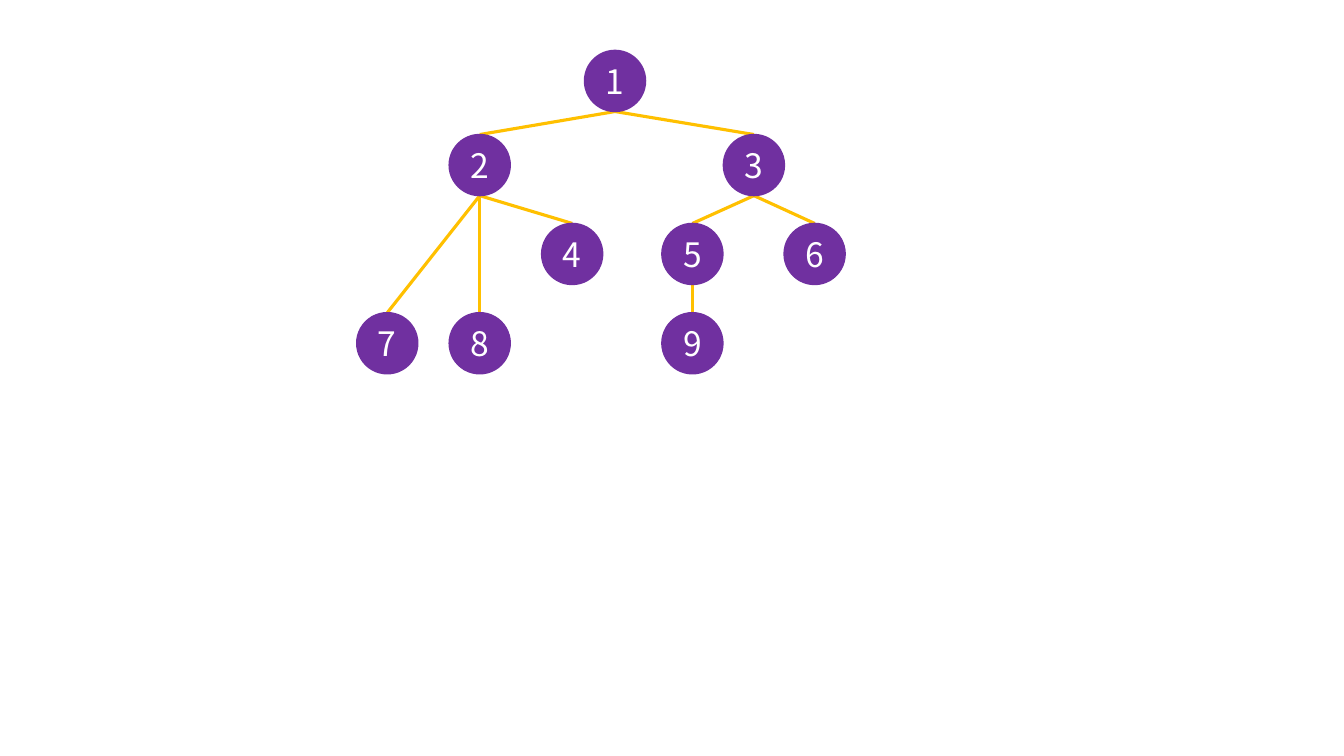
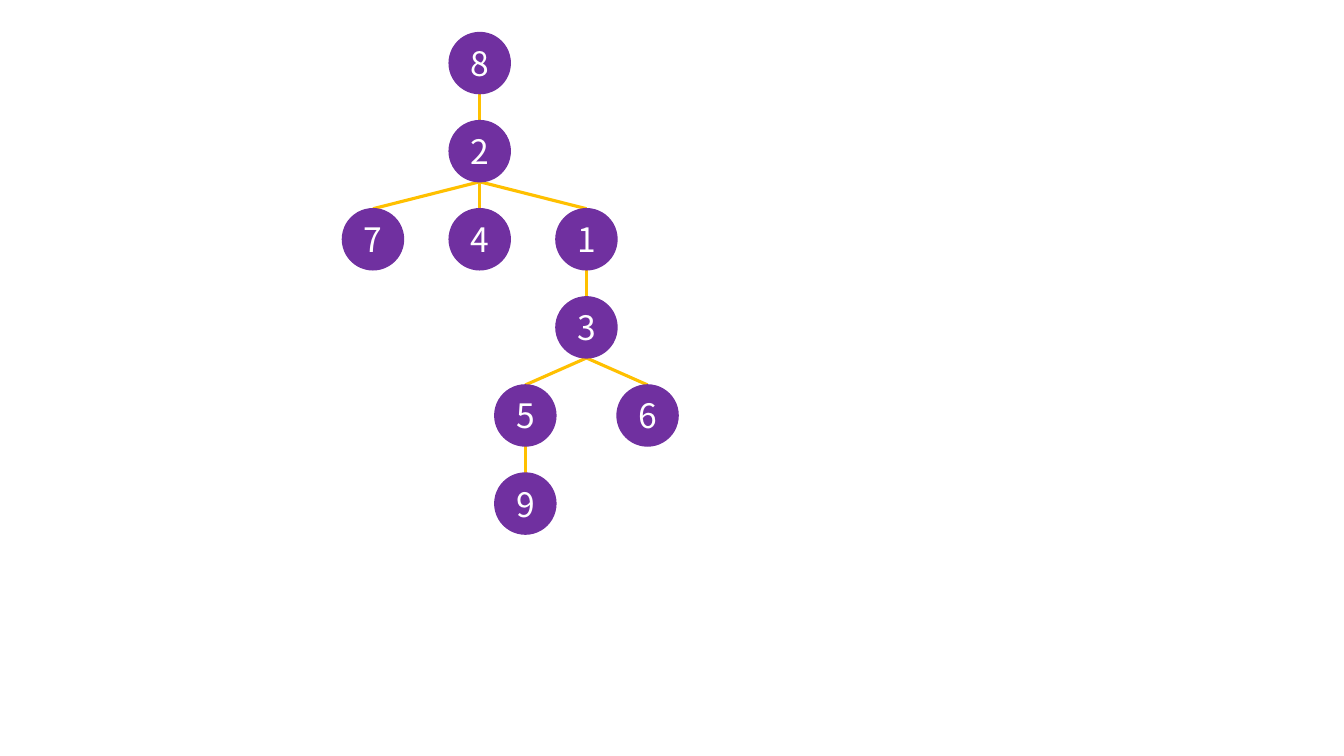
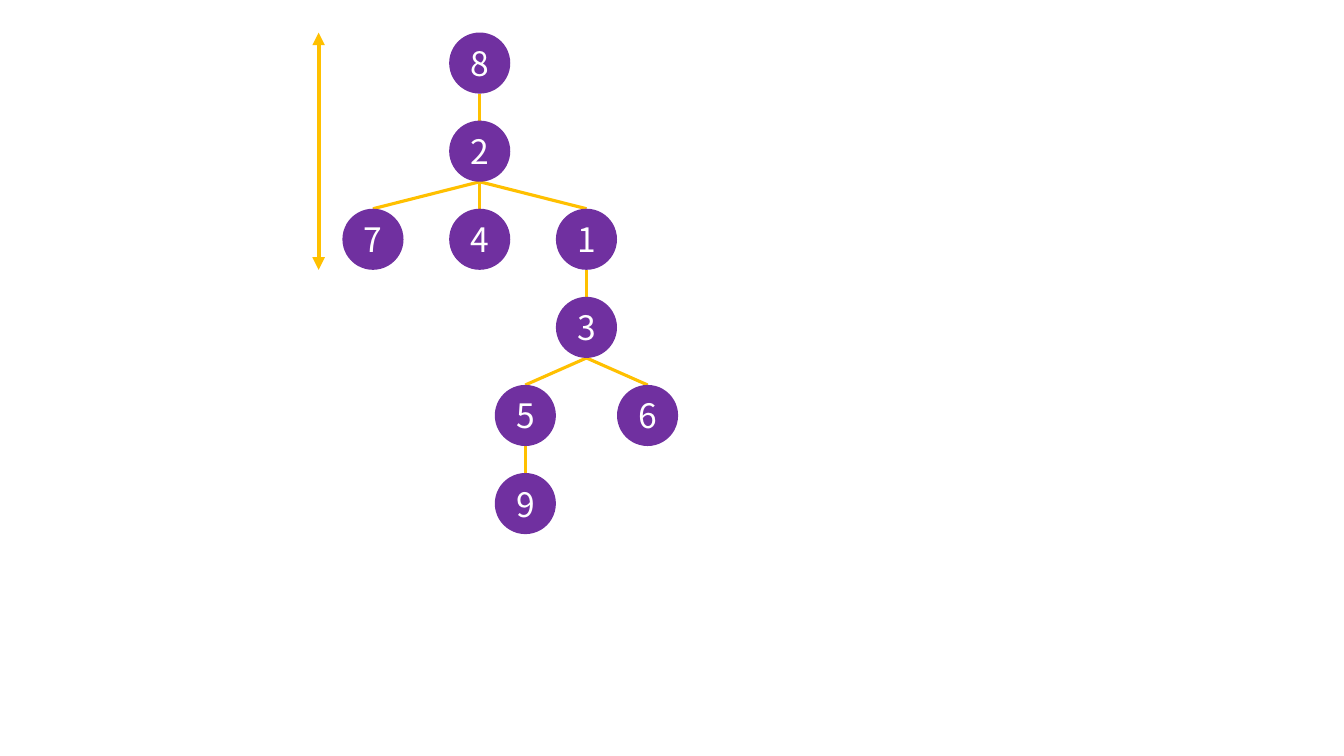
import dataclasses

import pptx
import pptx.dml.color
import pptx.enum.shapes
import pptx.enum.text
import pptx.oxml
import pptx.oxml.ns
import pptx.util

Cm = pptx.util.Cm
Pt = pptx.util.Pt


@dataclasses.dataclass(frozen=True)
class Theme:
    node: str = "7030A0"
    edge: str = "FFC000"
    text: str = "FFFFFF"
    font: str = "Noto Sans CJK KR"
    size: float = 24
    thin: float = 1
    line: float = 2.25
    bold: float = 3


THEME = Theme()
DISC = 1.54  # node diameter, cm

# Trees: row tops in cm, nodes as label: (centre x in cm, row), edges as parent, child
LEFT, RIGHT = 12.09, 17.45
FIRST = {
    "tops": [1.27, 3.39, 5.63, 7.88],
    "nodes": {
        "1": (15.5, 0),
        "2": (LEFT, 1), "3": (19, 1),
        "4": (14.42, 2), "5": (RIGHT, 2), "6": (20.53, 2),
        "7": (9.76, 3), "8": (LEFT, 3), "9": (RIGHT, 3),
    },
    "edges": ["12", "13", "27", "28", "24", "35", "36", "59"],
}

WIDE, HALF = 2.69, 1.54
STEM = LEFT + WIDE
SECOND = {
    "tops": [0.82 + 2.22 * row for row in range(6)],
    "nodes": {
        "8": (LEFT, 0),
        "2": (LEFT, 1),
        "7": (LEFT - WIDE, 2), "4": (LEFT, 2), "1": (STEM, 2),
        "3": (STEM, 3),
        "5": (STEM - HALF, 4), "6": (STEM + HALF, 4),
        "9": (STEM - HALF, 5),
    },
    "edges": ["82", "27", "24", "21", "13", "35", "36", "59"],
}

# Each slide: tree, outlined nodes, span arrow as (x in cm, first row, last row)
SLIDES = [
    (FIRST, True, None),
    (SECOND, True, None),
    (SECOND, False, (8.03, 0, 2)),
]


def paint(text):
    return pptx.dml.color.RGBColor.from_string(text)


def apply(thing, form):
    for name, value in form.items():
        setattr(thing, name, value)


def add_line(slide, start, end, width, heads=False):
    line = slide.shapes.add_connector(
        pptx.enum.shapes.MSO_CONNECTOR.STRAIGHT,
        *(Cm(part) for part in start + end))
    line.line.color.rgb = paint(THEME.edge)
    line.line.width = Pt(width)
    props = line._element.spPr
    if heads:
        stroke = props.find(pptx.oxml.ns.qn("a:ln"))
        for tag in ("a:headEnd", "a:tailEnd"):
            tip = pptx.oxml.ns.qn(tag)
            stroke.append(stroke.makeelement(tip, {"type": "triangle"}))
    props.append(props.makeelement(pptx.oxml.ns.qn("a:effectLst"), {}))


def add_node(slide, label, x, top, framed):
    node = slide.shapes.add_shape(
        pptx.enum.shapes.MSO_SHAPE.OVAL,
        Cm(x - DISC / 2), Cm(top), Cm(DISC), Cm(DISC))
    node.shadow.inherit = False
    node.fill.solid()
    node.fill.fore_color.rgb = paint(THEME.node)
    if framed:
        node.line.color.rgb = paint(THEME.node)
        node.line.width = Pt(THEME.thin)
    else:
        node.line.fill.background()
    frame = node.text_frame
    apply(frame, {
        "text": label,
        "vertical_anchor": pptx.enum.text.MSO_ANCHOR.MIDDLE,
        "margin_left": 0, "margin_right": 0,
        "margin_top": 0, "margin_bottom": 0,
    })
    para = frame.paragraphs[0]
    para.alignment = pptx.enum.text.PP_ALIGN.CENTER
    font = para.runs[0].font
    apply(font, {"name": THEME.font, "size": Pt(THEME.size)})
    font.color.rgb = paint(THEME.text)


def draw_tree(slide, tree, framed):
    tops = tree["tops"]
    spots = {label: (x, tops[row]) for label, (x, row) in tree["nodes"].items()}
    for parent, child in tree["edges"]:
        x, top = spots[parent]
        add_line(slide, (x, top + DISC), spots[child], THEME.line)
    for label, (x, top) in spots.items():
        add_node(slide, label, x, top, framed)


def main():
    deck = pptx.Presentation()
    apply(deck, {"slide_width": Cm(33.87), "slide_height": Cm(19.05)})
    for tree, framed, span in SLIDES:
        slide = deck.slides.add_slide(deck.slide_layouts[6])
        draw_tree(slide, tree, framed)
        if span:
            x, first, last = span
            tops = tree["tops"]
            add_line(slide, (x, tops[first]), (x, tops[last] + DISC),
                     THEME.bold, heads=True)
    deck.save("out.pptx")


if __name__ == "__main__":
    main()
